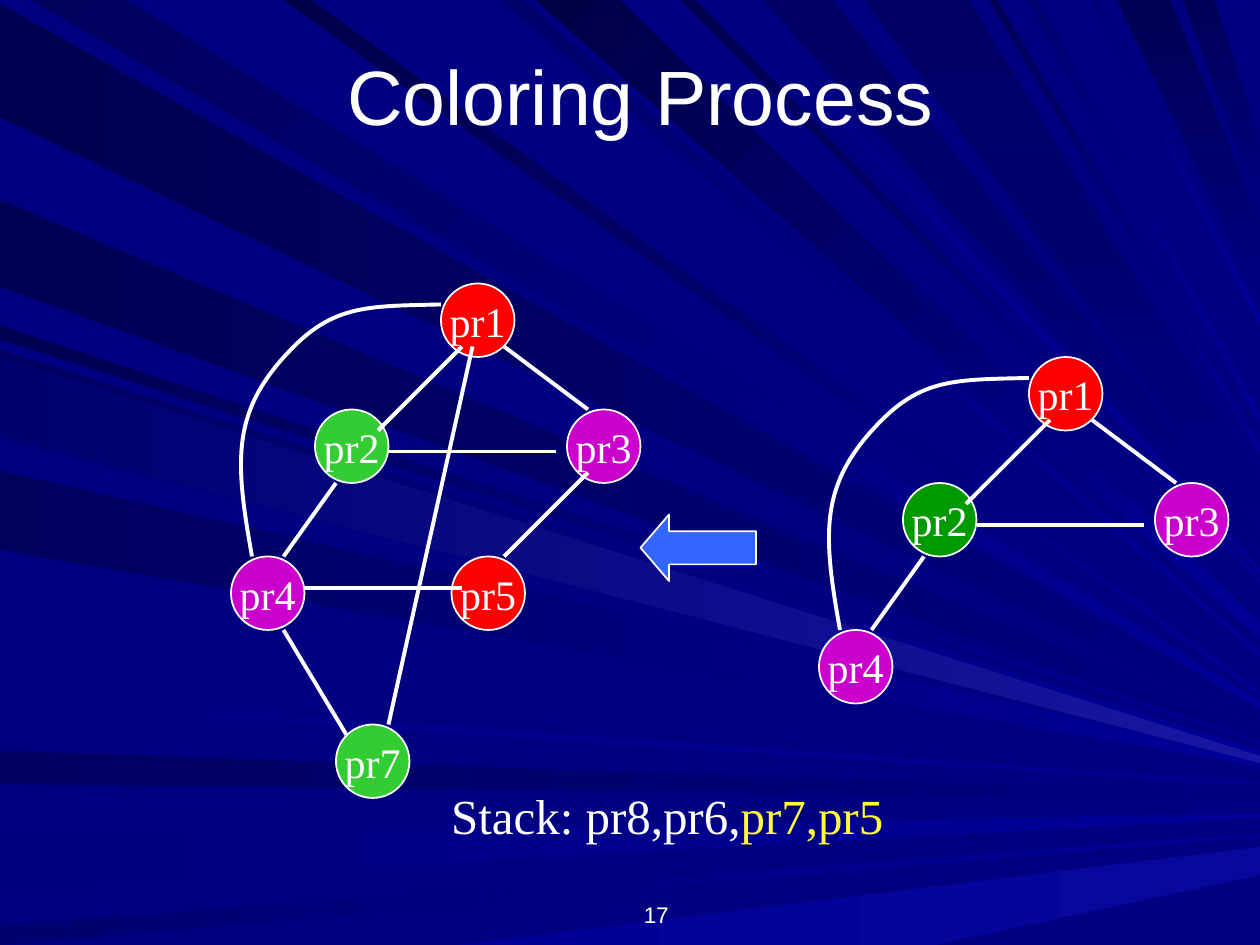
"""Build the Coloring Process slide: two register interference graphs over a ray background."""
import pptx
import pptx.dml.color
import pptx.enum.shapes
import pptx.enum.text
import pptx.oxml
import pptx.oxml.ns
import pptx.util

Pt = pptx.util.Pt
WIDTH, HEIGHT = 720, 540
VANISH_X = 816
NODE = 42
WHITE, RED, PURPLE = "FFFFFF", "FF0000", "CC00CC"
GREEN, DARK_GREEN, YELLOW = "33CC33", "009900", "FFFB3B"
NAVY, BLUE = "000080", "000099"
SANS, SERIF = "Arial", "Times New Roman"

TOP_RAYS = [
    (18, 72, 405, "00005D", BLUE), (286, 299, 375, "00006B", BLUE),
    (306, 354, 365, "000047", BLUE), (389, 397, 333, "00004F", BLUE),
    (436, 476, 321, "000065", NAVY), (638, 669, 170, "000055", NAVY),
    (676, 694, 120, "000059", NAVY), (162, 178, 397, "00004A", BLUE),
    (415, 423, 327, "000082", BLUE), (494, 554, 308, "000065", NAVY),
    (565, 570, 259, "000058", BLUE), (587, 593, 242, "00006F", BLUE),
    (623, 628, 186, "000079", BLUE),
]
LEFT_RAYS = [
    (2, 67, 410, "000051", NAVY), (429, 448, 455, "000061", NAVY),
    (479, 507, 466, "00007D", BLUE), (529, 540, 477, "00006F", BLUE),
    (186, 194, 424, "000053", BLUE), (114, 164, 421, "000055", NAVY),
    (200, 246, 431, "000061", BLUE), (269, 314, 436, "00005D", BLUE),
    (397, 403, 448, "000082", BLUE), (204, 250, 434, "00006F", "1717A2"),
]

OFFSETS = {"pr1": (0, 0), "pr2": (-72, 72), "pr3": (72, 72),
           "pr4": (-120, 156), "pr5": (6, 156), "pr7": (-60, 252)}
CORE_EDGES = [((12, 36), (-36, 84)), ((-30, 96), (66, 96)),
              ((-60, 114), (-90, 156)), ((36, 36), (84, 72))]
EXTRA_EDGES = [((-78, 174), (12, 174)), ((18, 36), (-30, 252)),
               ((-90, 198), (-54, 258)), ((84, 108), (36, 156))]
PR1_PR4_ARC = [(0, 12), (-40, 13), (-60, 12), (-84, 36), (-120, 72), (-118, 100), (-108, 156)]


def color(value):
    """Turn a hex string into a colour."""
    return pptx.dml.color.RGBColor.from_string(value)


def set_line(sp, width):
    """Give a shape or connector a white line."""
    sp.line.color.rgb = color(WHITE)
    sp.line.width = Pt(width)


def add_runs(tf, runs, size, font):
    """Write centred (text, colour) runs into the first paragraph."""
    p = tf.paragraphs[0]
    p.alignment = pptx.enum.text.PP_ALIGN.CENTER
    for text, value in runs:
        r = p.add_run()
        r.text = text
        r.font.size = Pt(size)
        r.font.name = font
        r.font.color.rgb = color(value)


def add_text(s, box, runs, size, font, anchor, wrap=True):
    """Add a text box."""
    tf = s.shapes.add_textbox(*map(Pt, box)).text_frame
    tf.word_wrap = wrap
    tf.vertical_anchor = anchor
    add_runs(tf, runs, size, font)


def add_outline(s, points, close):
    """Add a freeform through the points."""
    start, *rest = [(Pt(x), Pt(y)) for x, y in points]
    builder = s.shapes.build_freeform(*start)
    builder.add_line_segments(rest, close=close)
    sp = builder.convert_to_shape()
    sp.shadow.inherit = False
    return sp


def add_ray(s, points, first, last, angle):
    """Add a background ray with a clockwise gradient angle."""
    sp = add_outline(s, points, True)
    sp.line.fill.background()
    sp.fill.gradient()
    sp.fill.gradient_angle = (360 - angle) % 360
    for stop, value in zip(sp.fill.gradient_stops, (first, last)):
        stop.color.rgb = color(value)


def add_top_ray(s, near, far, tip, first, last):
    """Add a ray from the top edge that narrows towards the vanishing point."""
    focus = tip * (VANISH_X - near) / (WIDTH - near)
    upper = focus * (WIDTH - far) / (VANISH_X - far)
    points = [(near, 0), (far, 0), (WIDTH, upper), (WIDTH, tip)]
    add_ray(s, points, first, last, 90 if last == NAVY else 45)


def add_left_ray(s, upper, lower, tip, first, last):
    """Add a ray from the left edge that narrows to a thin tip."""
    half = (lower - upper) / 25
    points = [(0, upper), (0, lower), (WIDTH, tip + half), (WIDTH, tip - half)]
    add_ray(s, points, first, last, 0)


def add_arc(s, points):
    """Add an open curve whose points are a start and Bezier triples."""
    sp = add_outline(s, points, False)
    sp.fill.background()
    set_line(sp, 2.25)
    segments = sp.element.xpath(".//a:lnTo")
    for i in range(0, len(segments), 3):
        curve = pptx.oxml.parse_xml("<a:cubicBezTo %s/>" % pptx.oxml.ns.nsdecls("a"))
        segments[i].addprevious(curve)
        for segment in segments[i:i + 3]:
            curve.append(segment[0])
            segment.getparent().remove(segment)


def add_preset(s, kind, box, fill):
    """Add a filled preset shape with a thin white outline."""
    sp = s.shapes.add_shape(kind, *map(Pt, box))
    sp.shadow.inherit = False
    sp.fill.solid()
    sp.fill.fore_color.rgb = color(fill)
    set_line(sp, 1)
    return sp


def add_node(s, x, y, name, fill):
    """Add a labelled circle."""
    sp = add_preset(s, pptx.enum.shapes.MSO_SHAPE.OVAL, (x, y, NODE, NODE), fill)
    tf = sp.text_frame
    tf.word_wrap = False
    tf.vertical_anchor = pptx.enum.text.MSO_ANCHOR.MIDDLE
    add_runs(tf, [(name, WHITE)], 24, SERIF)


def add_edge(s, start, end):
    """Add a straight line between two points."""
    c = s.shapes.add_connector(pptx.enum.shapes.MSO_CONNECTOR.STRAIGHT, *map(Pt, start + end))
    set_line(c, 2.25)
    c.element.spPr.append(pptx.oxml.parse_xml("<a:effectLst %s/>" % pptx.oxml.ns.nsdecls("a")))


def add_graph(s, x, y, fills, edges):
    """Add an interference graph whose pr1 sits at x, y."""
    def place(point):
        """Move a point from pr1 to the slide."""
        return x + point[0], y + point[1]

    for name, fill in fills.items():
        add_node(s, *place(OFFSETS[name]), name, fill)
    for start, end in edges:
        add_edge(s, place(start), place(end))
    add_arc(s, [place(point) for point in PR1_PR4_ARC])


def main():
    """Build and save the slide."""
    anchor = pptx.enum.text.MSO_ANCHOR
    prs = pptx.Presentation()
    prs.slide_width, prs.slide_height = Pt(WIDTH), Pt(HEIGHT)
    s = prs.slides.add_slide(prs.slide_layouts[6])
    s.background.fill.solid()
    s.background.fill.fore_color.rgb = color(NAVY)
    for ray in TOP_RAYS:
        add_top_ray(s, *ray)
    for ray in LEFT_RAYS:
        add_left_ray(s, *ray)
    add_ray(s, [(262, HEIGHT), (534, HEIGHT), (WIDTH, 500), (WIDTH, 484)], BLUE, "08089C", 0)
    add_text(s, (132, 510, 486, 24), [("17", WHITE)], 12.9, SANS, anchor.BOTTOM)
    add_text(s, (60, 18, 612, 72), [("Coloring Process", WHITE)], 44, SANS, anchor.MIDDLE)
    arrow = add_preset(s, pptx.enum.shapes.MSO_SHAPE.LEFT_ARROW, (366, 294, 66, 38), "3366FF")
    arrow.adjustments[1] = 0.43
    add_text(s, (250.5, 445.5, 261.5, 41), [("Stack: pr8,pr6,", WHITE), ("pr7,pr5", YELLOW)],
             28, SERIF, anchor.TOP, wrap=False)
    core = {"pr1": RED, "pr2": DARK_GREEN, "pr3": PURPLE, "pr4": PURPLE}
    add_graph(s, 588, 204, core, CORE_EDGES)
    add_graph(s, 252, 162, {**core, "pr2": GREEN, "pr5": RED, "pr7": GREEN}, CORE_EDGES + EXTRA_EDGES)
    prs.save("out.pptx")


if __name__ == "__main__":
    main()
